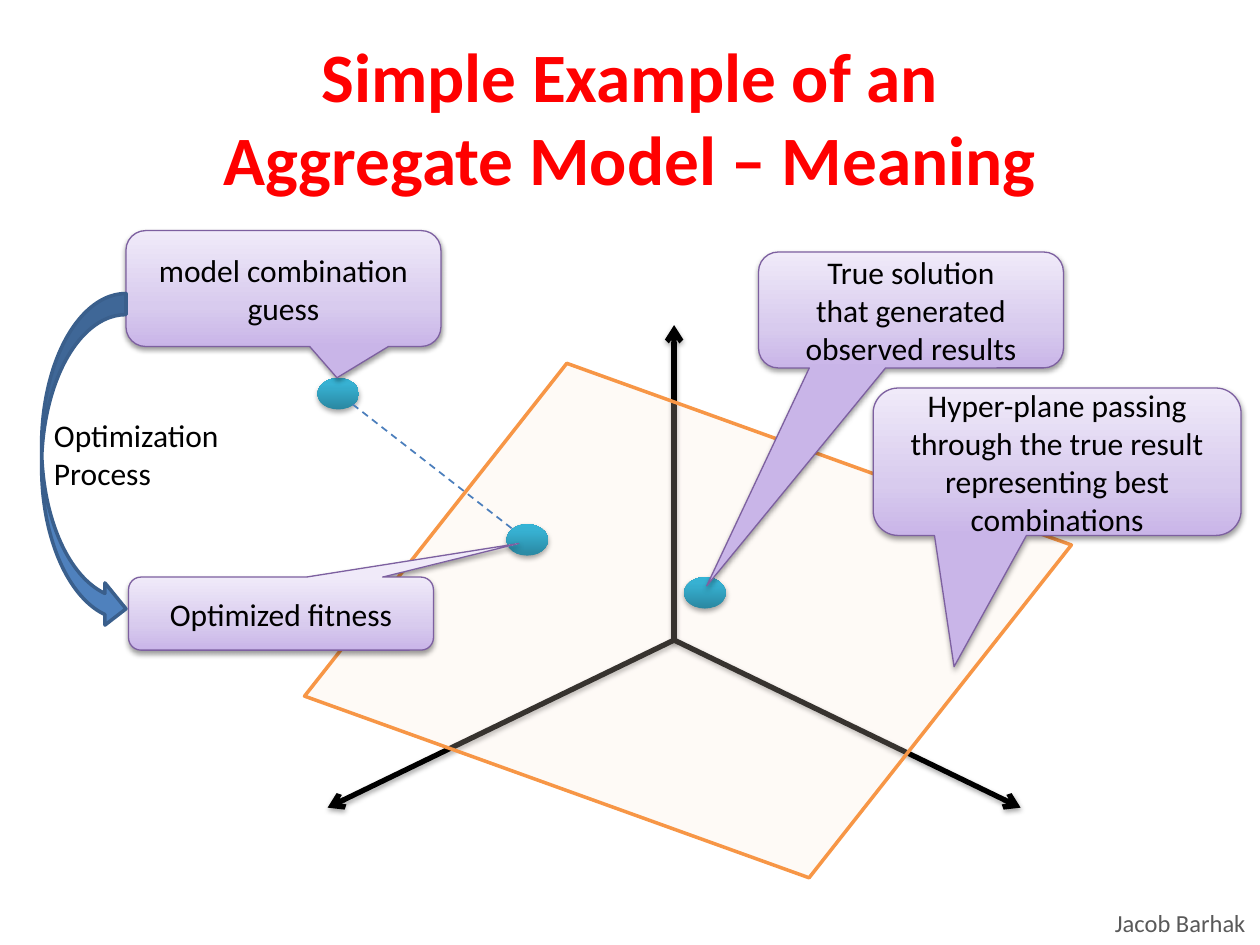
from lxml import etree
from pptx import Presentation
from pptx.dml.color import RGBColor
from pptx.enum.dml import MSO_LINE
from pptx.enum.shapes import MSO_CONNECTOR, MSO_SHAPE
from pptx.enum.text import MSO_ANCHOR, MSO_AUTO_SIZE, PP_ALIGN
from pptx.oxml.ns import qn
from pptx.util import Inches, Pt

TEAL = [(0, "2A88A2"), (80, "37B1D2"), (100, "34B4D6")]
LILAC = [(0, "C9B5E8"), (35, "D8CBEE"), (100, "F0EAF9")]
BODY = {"size": Pt(18), "name": "Calibri"}
TITLE = {"size": Pt(39.6), "name": "Calibri", "bold": True}
FOOTER = {"size": Pt(14), "name": "Calibri"}


def color(hex_string):
    return RGBColor.from_string(hex_string)


def add_element(parent, tag, **attributes):
    element = etree.SubElement(parent, qn(tag))
    for name, value in attributes.items():
        element.set(name, str(value))
    return element


def add_color(parent, hex_string, opacity=None):
    element = add_element(parent, "a:srgbClr", val=hex_string)
    if opacity is not None:
        add_element(element, "a:alpha", val=opacity * 1000)


def add_shadow(effects, opacity):
    shadow = add_element(effects, "a:outerShdw", blurRad=Pt(3.1), dist=Pt(1.7),
                         dir=5400000, rotWithShape=0)
    add_color(shadow, "000000", opacity)


def shape_shadow(shape, opacity):
    shape.shadow.inherit = False
    add_shadow(shape._element.spPr.find(qn("a:effectLst")), opacity)


def fill_gradient(shape, stops):
    shape.fill.gradient()
    shape.fill.gradient_angle = 90
    stop_list = shape._element.spPr.find(qn("a:gradFill")).find(qn("a:gsLst"))
    for stop in list(stop_list):
        stop_list.remove(stop)
    for position, hex_string in stops:
        add_color(add_element(stop_list, "a:gs", pos=position * 1000), hex_string)


def set_line(line, hex_string, width):
    line.color.rgb = color(hex_string)
    line.width = Pt(width)


def write_text(text_frame, text, formats, hex_string, alignment):
    text_frame.text = text
    for paragraph in text_frame.paragraphs:
        paragraph.alignment = alignment
        for run in paragraph.runs:
            run.font.color.rgb = color(hex_string)
            for name, value in formats.items():
                setattr(run.font, name, value)


def add_label(slide, box, text, formats, hex_string):
    label = slide.shapes.add_textbox(*map(Inches, box))
    label.text_frame.word_wrap = False
    label.text_frame.auto_size = MSO_AUTO_SIZE.SHAPE_TO_FIT_TEXT
    write_text(label.text_frame, text, formats, hex_string, PP_ALIGN.LEFT)


def add_title(slide, box):
    title = slide.shapes.title
    title.left, title.top, title.width, title.height = map(Inches, box)
    title.text_frame.auto_size = MSO_AUTO_SIZE.NONE
    title.text_frame.vertical_anchor = MSO_ANCHOR.MIDDLE
    write_text(title.text_frame, "Simple Example of an\vAggregate Model – Meaning",
               TITLE, "FF0000", PP_ALIGN.CENTER)


def add_line(slide, start, end, hex_string, width):
    connector = slide.shapes.add_connector(
        MSO_CONNECTOR.STRAIGHT, *map(Inches, (*start, *end)))
    set_line(connector.line, hex_string, width)
    effects = add_element(connector._element.spPr, "a:effectLst")
    return connector, effects


def add_axes(slide, box):
    left, top, width, height = box
    center = left + width / 2
    origin = (center, top + 2.5)
    bottom = top + height
    for end in [(center, top), (left, bottom), (left + width, bottom)]:
        connector, effects = add_line(slide, origin, end, "000000", 3)
        add_element(connector.line._get_or_add_ln(), "a:tailEnd", type="arrow")
        add_shadow(effects, 35)


def add_plane(slide, box):
    plane = slide.shapes.add_shape(MSO_SHAPE.FLOWCHART_DATA, *map(Inches, box))
    plane.rotation = 19.8
    plane.shadow.inherit = False
    plane.fill.solid()
    plane.fill.fore_color.rgb = color("FDEADA")
    fill_color = plane._element.spPr.find(qn("a:solidFill"))[0]
    add_element(fill_color, "a:alpha", val=22000)
    set_line(plane.line, "F79646", 2)


def add_point(slide, box):
    point = slide.shapes.add_shape(MSO_SHAPE.OVAL, *map(Inches, box))
    fill_gradient(point, TEAL)
    point.line.fill.background()
    shape_shadow(point, 35)


def add_points(slide, box):
    left, top, width, height = box
    size = (0.33, 0.25)
    add_point(slide, (left, top, *size))
    add_point(slide, (left + 1.5, top + 1.16, *size))
    search, _ = add_line(slide, (left + 0.28, top + 0.21),
                         (left + 1.55, top + 1.2), "4B7EBC", 1)
    search.line.dash_style = MSO_LINE.DASH
    add_point(slide, (left + width - size[0], top + height - size[1], *size))


def add_callout(slide, box, pointer, text):
    callout = slide.shapes.add_shape(
        MSO_SHAPE.ROUNDED_RECTANGULAR_CALLOUT, *map(Inches, box))
    for index, value in enumerate((*pointer, 0.17)):
        callout.adjustments[index] = value
    fill_gradient(callout, LILAC)
    set_line(callout.line, "7D60A0", 0.75)
    shape_shadow(callout, 38)
    callout.text_frame.word_wrap = True
    callout.text_frame.vertical_anchor = MSO_ANCHOR.MIDDLE
    write_text(callout.text_frame, text, BODY, "000000", PP_ALIGN.CENTER)


def add_process(slide, box):
    left, top, width, height = box
    shift = (height - width) / 2
    arrow = slide.shapes.add_shape(
        MSO_SHAPE.CURVED_UP_ARROW,
        *map(Inches, (left - shift, top + shift, height, width)))
    arrow.rotation = 90
    arrow.shadow.inherit = False
    arrow.fill.solid()
    arrow.fill.fore_color.rgb = color("4F81BD")
    set_line(arrow.line, "3A5F8C", 2)
    add_label(slide, (left, top + 0.92, 1.52, 0.71), "Optimization\nProcess",
              BODY, "000000")


def main():
    presentation = Presentation()
    presentation.slide_width = Inches(10)
    presentation.slide_height = Inches(7.5)
    slide = presentation.slides.add_slide(presentation.slide_layouts[5])

    add_label(slide, (8.75, 7.16, 1.25, 0.34), "Jacob Barhak", FOOTER, "595959")
    add_title(slide, (0.5, 0.3, 9, 1.25))
    add_axes(slide, (2.6, 2.58, 5.5, 3.83))
    add_plane(slide, (2.8, 3.33, 5.32, 3.19))
    add_points(slide, (2.52, 3, 3.24, 1.83))
    callouts = [
        ((6.02, 2, 2.42, 0.92), (-0.67, 2.38),
         "True solution\nthat generated observed results"),
        ((1.02, 4.58, 2.42, 0.58), (0.78, -0.96), "Optimized fitness"),
        ((6.93, 3.08, 2.92, 1.17), (-0.28, 1.39),
         "Hyper-plane passing through the true result\n"
         "representing best combinations"),
        ((1, 1.83, 2.5, 0.92), (0.17, 0.77), "model combination guess"),
    ]
    for box, pointer, text in callouts:
        add_callout(slide, box, pointer, text)
    add_process(slide, (0.33, 2.33, 0.67, 2.67))
    presentation.save("out.pptx")


if __name__ == "__main__":
    main()
